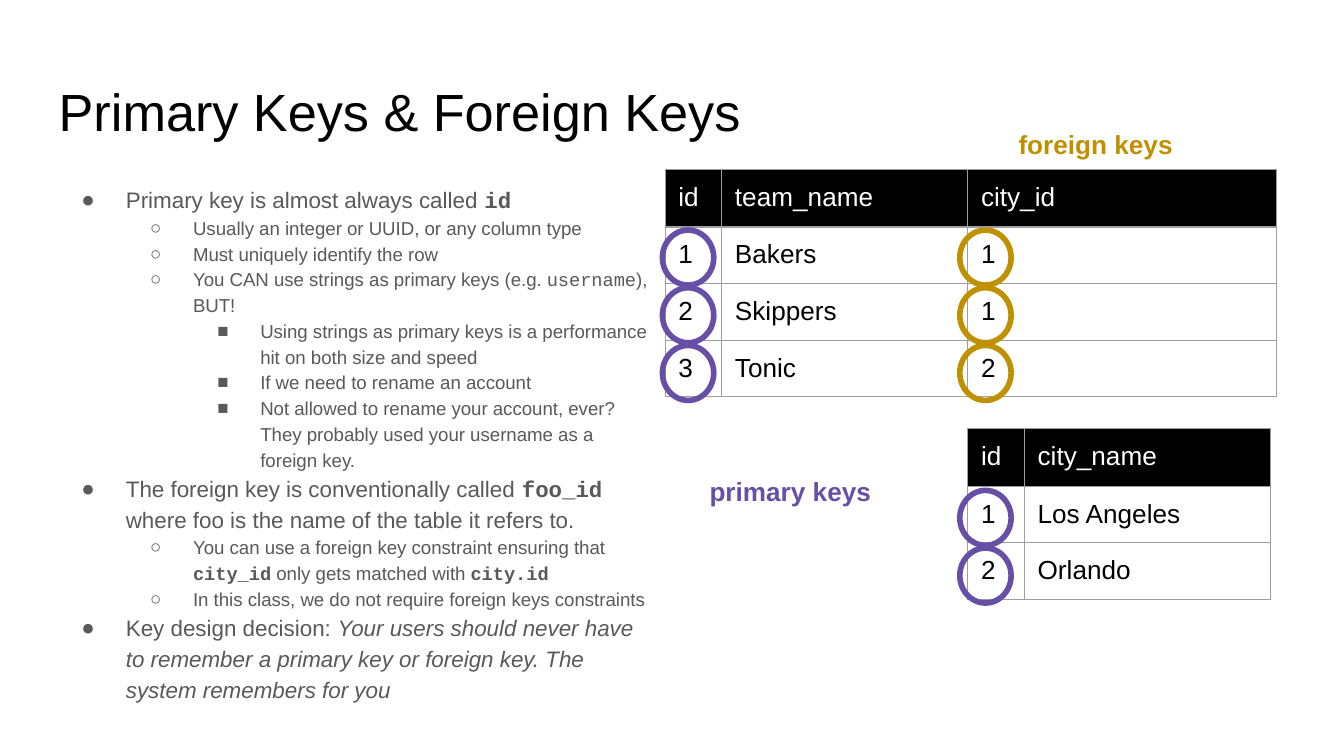
from itertools import product

from lxml.etree import SubElement
from pptx import Presentation
from pptx.dml.color import RGBColor
from pptx.enum.shapes import MSO_SHAPE
from pptx.enum.text import MSO_ANCHOR, PP_ALIGN
from pptx.oxml import parse_xml
from pptx.oxml.ns import nsdecls, qn
from pptx.util import Cm, Pt

BLACK = RGBColor(0x00, 0x00, 0x00)
WHITE = RGBColor(0xFF, 0xFF, 0xFF)
GRAY = RGBColor(0x59, 0x59, 0x59)
EDGE = RGBColor(0x9E, 0x9E, 0x9E)
PURPLE = RGBColor(0x67, 0x4E, 0xA7)
GOLD = RGBColor(0xBF, 0x90, 0x00)

SANS, MONO = "Arial", "Courier New"
PAD = Cm(0.25)
HEAD, ROW = 1.09, 1.07  # table row heights in cm

# Level: bullet, left indent, hanging indent, text size
LEVELS = [("●", 1.27, 0.84, 12), ("○", 2.54, 0.81, 10), ("■", 3.81, 0.81, 10)]

# Level, then runs of plain text or (text, style)
POINTS = [
    (0, "Primary key is almost always called ", ("id", "bold code")),
    (1, "Usually an integer or UUID, or any column type"),
    (1, "Must uniquely identify the row"),
    (1, "You CAN use strings as primary keys (e.g. ", ("username", "code"), "), BUT!"),
    (2, "Using strings as primary keys is a performance hit on both size and speed"),
    (2, "If we need to rename an account"),
    (2, "Not allowed to rename your account, ever? "
        "They probably used your username as a foreign key."),
    (0, "The foreign key is conventionally called ", ("foo_id", "bold code"),
     " where foo is the name of the table it refers to."),
    (1, "You can use a foreign key constraint ensuring that ", ("city_id", "bold code"),
     " only gets matched with ", ("city.id", "bold code")),
    (1, "In this class, we do not require foreign keys constraints"),
    (0, "Key design decision: ",
     ("Your users should never have to remember a primary key or foreign key. "
      "The system remembers for you", "italic")),
]

TEAMS = [
    ("id", "team_name", "city_id"),
    ("1", "Bakers", "1"),
    ("2", "Skippers", "1"),
    ("3", "Tonic", "2"),
]
CITIES = [("id", "city_name"), ("1", "Los Angeles"), ("2", "Orlando")]


def set_font(font, size, color, bold=None):
    font.name, font.size, font.bold = SANS, Pt(size), bold
    font.color.rgb = color


def set_frame(frame):
    frame.word_wrap = True
    frame.vertical_anchor = MSO_ANCHOR.TOP
    frame.margin_left = frame.margin_right = PAD
    frame.margin_top = frame.margin_bottom = PAD


def set_bullet(para, mark, left, hang):
    props = para._p.get_or_add_pPr()
    props.set("marL", str(Cm(left)))
    props.set("indent", str(-Cm(hang)))
    color = SubElement(props, qn("a:buClr"))
    SubElement(color, qn("a:srgbClr"), val=str(GRAY))
    SubElement(props, qn("a:buFont"), typeface=SANS)
    SubElement(props, qn("a:buChar"), char=mark)


def set_edges(cell):
    props = cell._tc.get_or_add_tcPr()
    for spot, side in enumerate("LRTB"):
        props.insert(spot, parse_xml(
            f'<a:ln{side} {nsdecls("a")} w="{Pt(0.75)}"><a:solidFill>'
            f'<a:srgbClr val="{EDGE}"/></a:solidFill></a:ln{side}>'))


def add_title(slide, x, y, w, h):
    title = slide.shapes.title
    title.left, title.top, title.width, title.height = map(Cm, (x, y, w, h))
    set_frame(title.text_frame)
    title.text_frame.text = "Primary Keys & Foreign Keys"
    para = title.text_frame.paragraphs[0]
    para.alignment = PP_ALIGN.LEFT
    set_font(para.font, 28, BLACK)


def add_points(slide, x, y, w, h):
    frame = slide.shapes.add_textbox(*map(Cm, (x, y, w, h))).text_frame
    set_frame(frame)
    for num, (level, *parts) in enumerate(POINTS):
        para = frame.add_paragraph() if num else frame.paragraphs[0]
        mark, left, hang, size = LEVELS[level]
        para.level = level
        set_bullet(para, mark, left, hang)
        para.line_spacing = 1.15
        set_font(para.font, size, GRAY)
        for part in parts:
            text, style = (part, "") if isinstance(part, str) else part
            run = para.add_run()
            run.text = text
            if "code" in style:
                run.font.name = MONO
            if "bold" in style:
                run.font.bold = True
            if "italic" in style:
                run.font.italic = True


def add_table(slide, x, y, cols, data):
    high = HEAD + ROW * (len(data) - 1)
    box = map(Cm, (x, y, sum(cols), high))
    table = slide.shapes.add_table(len(data), len(cols), *box).table
    table.first_row = table.horz_banding = False
    for col, width in zip(table.columns, cols):
        col.width = Cm(width)
    for num, row in enumerate(table.rows):
        row.height = Cm(ROW if num else HEAD)
    for r, c in product(range(len(data)), range(len(cols))):
        cell = table.cell(r, c)
        cell.margin_left = cell.margin_right = cell.margin_top = PAD
        cell.margin_bottom = Cm(0.2)  # lets rows keep their set height
        cell.text = data[r][c]
        set_font(cell.text_frame.paragraphs[0].font, 14, BLACK if r else WHITE)
        set_edges(cell)
        if r:
            cell.fill.background()
        else:
            cell.fill.solid()
            cell.fill.fore_color.rgb = BLACK


def add_rings(slide, x, y, count, color):
    for num in range(count):
        box = map(Cm, (x, y + 1.09 * num, 0.97, 1.04))
        ring = slide.shapes.add_shape(MSO_SHAPE.OVAL, *box)
        ring.shadow.inherit = False
        ring.fill.background()
        ring.line.color.rgb = color
        ring.line.width = Pt(3)


def add_label(slide, x, y, w, h, text, color):
    frame = slide.shapes.add_textbox(*map(Cm, (x, y, w, h))).text_frame
    set_frame(frame)
    frame.text = text
    set_font(frame.paragraphs[0].font, 14, color, True)


# Team table with its key rings and label
def add_teams(slide, x, y):
    add_table(slide, x, y, (1.07, 4.65, 5.84), TEAMS)
    add_rings(slide, x - 0.05, y + 1.15, 3, PURPLE)
    add_rings(slide, x + 5.57, y + 1.15, 3, GOLD)
    add_label(slide, x + 6.43, y - 1.02, 3.84, 0.89, "foreign keys", GOLD)


# City table with its key rings and label
def add_cities(slide, x, y):
    add_table(slide, x, y, (1.07, 4.65), CITIES)
    add_rings(slide, x - 0.15, y + 1.17, 2, PURPLE)
    add_label(slide, x - 5.13, y + 0.64, 3.84, 0.89, "primary keys", PURPLE)


def main():
    deck = Presentation()
    deck.slide_width, deck.slide_height = Cm(25.4), Cm(14.29)
    slide = deck.slides.add_slide(deck.slide_layouts[5])
    add_title(slide, 0.86, 1.24, 23.67, 1.6)
    add_points(slide, 0.86, 3.2, 11.71, 10.69)
    add_teams(slide, 12.57, 3.2)
    add_cities(slide, 18.29, 8.1)
    deck.save("out.pptx")


if __name__ == "__main__":
    main()
